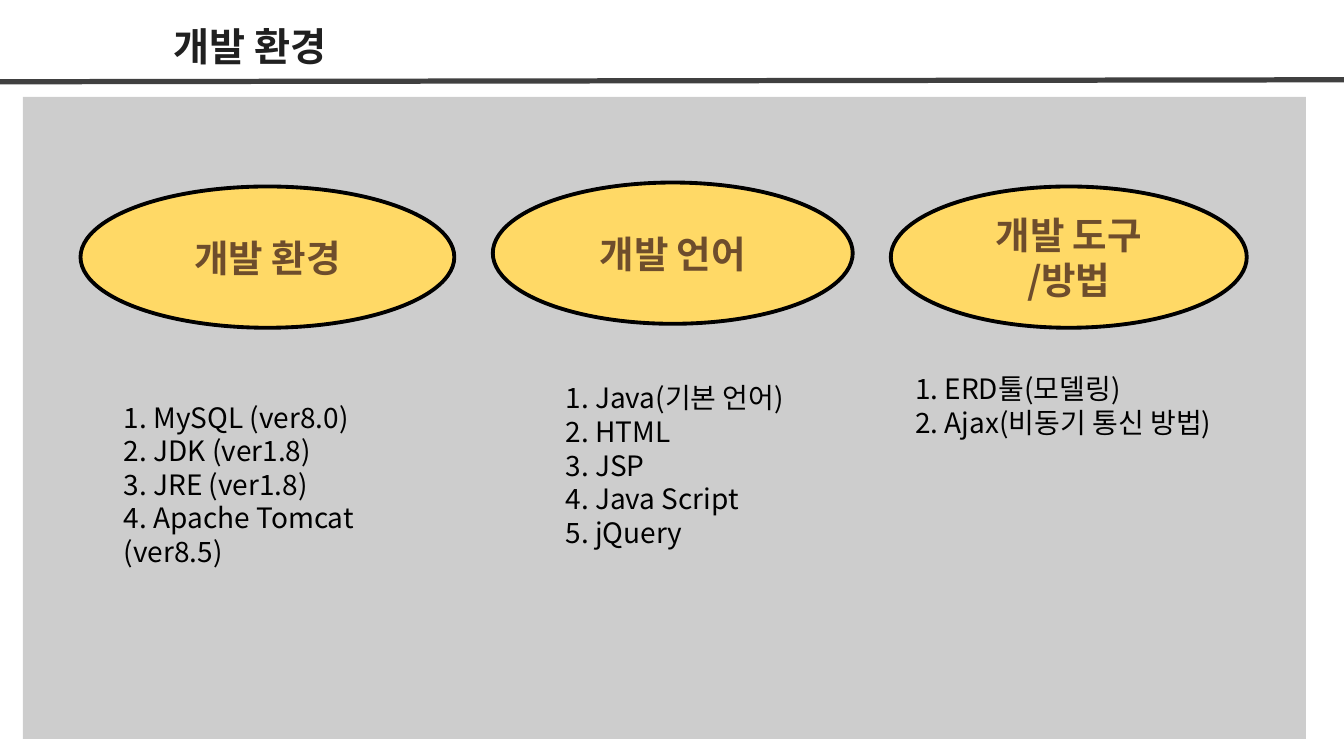
import dataclasses

import pptx
import pptx.dml.color
import pptx.enum.shapes
import pptx.enum.text
import pptx.oxml.ns
import pptx.util
from lxml import etree

Cm = pptx.util.Cm
Pt = pptx.util.Pt
ALIGN = pptx.enum.text.PP_ALIGN
ANCHOR = pptx.enum.text.MSO_ANCHOR
SHAPE = pptx.enum.shapes.MSO_SHAPE


@dataclasses.dataclass(frozen=True)
class TextStyle:
    font: str
    size: float
    leading: float
    color: str
    bold: bool
    align: ALIGN


@dataclasses.dataclass(frozen=True)
class Theme:
    panel: str = "808080"
    panel_alpha: int = 39000
    rule: str = "404040"
    rule_width: float = 3.75
    oval: str = "FFD966"
    outline: str = "000000"
    outline_width: float = 2.75
    title: TextStyle = TextStyle("Roboto", 28, 39.2, "202020", True, ALIGN.CENTER)
    heading: TextStyle = TextStyle("Noto Sans CJK SC", 26.8, 32.1, "6E4D2C", True, ALIGN.CENTER)
    items: TextStyle = TextStyle("Noto Sans CJK KR", 20, 24, "000000", False, ALIGN.LEFT)


THEME = Theme()
WIDTH, HEIGHT = 33.87, 19.05
OVAL_HEIGHT = 3.56


@dataclasses.dataclass(frozen=True)
class Topic:
    heading: str
    items: str
    box: tuple  # left, top, width of the oval
    list_box: tuple  # left and top from the oval's corner, width, height
    placeholder: int


TOPICS = (
    Topic("개발 환경",
          "1. MySQL (ver8.0)\n2. JDK (ver1.8)\n3. JRE (ver1.8)\n4. Apache Tomcat (ver8.5)",
          (2.03, 4.7, 9.42), (1.09, 5.38, 8.33, 3.43), 1),
    Topic("개발 언어",
          "1. Java(기본 언어)\n2. HTML\n3. JSP\n4. Java Script\n5. jQuery",
          (12.42, 4.6, 9.07), (1.83, 5.0, 6.96, 4.27), 2),
    Topic("개발 도구\n/방법",
          "1. ERD툴(모델링)\n2. Ajax(비동기 통신 방법)",
          (22.45, 4.7, 8.97), (0.61, 4.67, 8.1, 3.2), 3),
)


def rgb(value):
    return pptx.dml.color.RGBColor.from_string(value)


def place(shape, left, top, width, height):
    shape.left, shape.top = Cm(left), Cm(top)
    shape.width, shape.height = Cm(width), Cm(height)


def write(shape, text, style, anchor, wrap=True):
    frame = shape.text_frame
    frame.text = text
    frame.word_wrap = wrap
    frame.auto_size = pptx.enum.text.MSO_AUTO_SIZE.NONE
    frame.vertical_anchor = anchor
    frame.margin_left = frame.margin_right = frame.margin_top = frame.margin_bottom = 0
    for paragraph in frame.paragraphs:
        paragraph.alignment = style.align
        paragraph.line_spacing = Pt(style.leading)
        paragraph.space_before = paragraph.space_after = Pt(0)
        properties = paragraph._p.get_or_add_pPr()
        properties.set("marL", "0")
        properties.set("indent", "0")
        etree.SubElement(properties, pptx.oxml.ns.qn("a:buNone"))
        for run in paragraph.runs:
            run.font.name = style.font
            run.font.size = Pt(style.size)
            run.font.bold = style.bold
            run.font.color.rgb = rgb(style.color)
            east_asian = etree.SubElement(run.font._element, pptx.oxml.ns.qn("a:ea"))
            east_asian.set("typeface", style.font)


def add_header(slide, left, top, width, height):
    # Title and the slightly rising rule under it
    title = slide.shapes.title
    place(title, left + 1.12, top + 0.36, 10.36, 1.27)
    write(title, "개발 환경", THEME.title, ANCHOR.TOP)
    rule = slide.shapes.add_connector(
        pptx.enum.shapes.MSO_CONNECTOR.STRAIGHT,
        Cm(left), Cm(top + height), Cm(left + width), Cm(top + height - 0.05))
    rule.line.color.rgb = rgb(THEME.rule)
    rule.line.width = Pt(THEME.rule_width)
    etree.SubElement(rule._element.spPr, pptx.oxml.ns.qn("a:effectLst"))


def add_panel(slide, left, top, width, height):
    panel = slide.shapes.add_shape(SHAPE.RECTANGLE, Cm(left), Cm(top), Cm(width), Cm(height))
    panel.shadow.inherit = False
    panel.fill.solid()
    panel.fill.fore_color.rgb = rgb(THEME.panel)
    panel.line.fill.background()
    color = panel._element.spPr.find(".//" + pptx.oxml.ns.qn("a:srgbClr"))
    alpha = etree.SubElement(color, pptx.oxml.ns.qn("a:alpha"))
    alpha.set("val", str(THEME.panel_alpha))


def add_topic(slide, topic, left, top, width):
    # Oval heading
    oval = slide.shapes.add_shape(SHAPE.OVAL, Cm(left), Cm(top), Cm(width), Cm(OVAL_HEIGHT))
    oval.shadow.inherit = False
    oval.fill.solid()
    oval.fill.fore_color.rgb = rgb(THEME.oval)
    oval.line.color.rgb = rgb(THEME.outline)
    oval.line.width = Pt(THEME.outline_width)
    write(oval, topic.heading, THEME.heading, ANCHOR.MIDDLE, wrap=False)

    # List, brought in front of the panel
    body = slide.placeholders[topic.placeholder]
    offset_left, offset_top, list_width, list_height = topic.list_box
    place(body, left + offset_left, top + offset_top, list_width, list_height)
    write(body, topic.items, THEME.items, ANCHOR.TOP)
    body.element.getparent().append(body.element)


def remove_empty_placeholders(slide):
    for placeholder in list(slide.placeholders):
        if not placeholder.text_frame.text:
            placeholder.element.getparent().remove(placeholder.element)


def main():
    presentation = pptx.Presentation()
    presentation.slide_width, presentation.slide_height = Cm(WIDTH), Cm(HEIGHT)
    comparison_layout = presentation.slide_layouts[4]
    slide = presentation.slides.add_slide(comparison_layout)
    add_panel(slide, 0.58, 2.44, 32.33, 16.18)
    add_header(slide, 0, 0, WIDTH, 2.06)
    for topic in TOPICS:
        add_topic(slide, topic, *topic.box)
    remove_empty_placeholders(slide)
    presentation.save("out.pptx")


if __name__ == "__main__":
    main()
